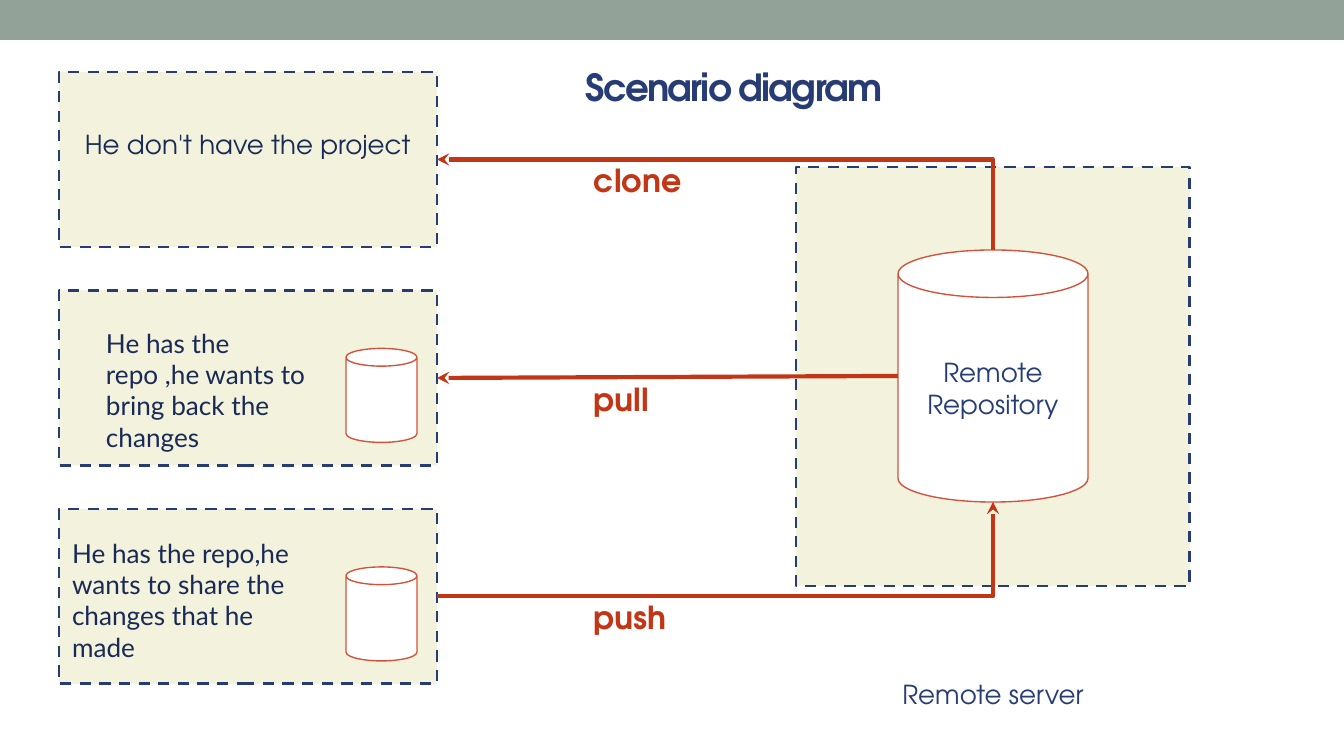
"""Build the scenario diagram slide: clone, pull and push against a remote repository."""
from lxml import etree
from pptx import Presentation
from pptx.dml.color import RGBColor
from pptx.enum.dml import MSO_LINE
from pptx.enum.shapes import MSO_CONNECTOR, MSO_SHAPE
from pptx.enum.text import MSO_ANCHOR, PP_ALIGN
from pptx.oxml.ns import qn
from pptx.util import Emu, Pt

RECT, CAN = MSO_SHAPE.RECTANGLE, MSO_SHAPE.CAN
STRAIGHT, ELBOW = MSO_CONNECTOR.STRAIGHT, MSO_CONNECTOR.ELBOW
LEFT, CENTER = PP_ALIGN.LEFT, PP_ALIGN.CENTER
TOP, MIDDLE = MSO_ANCHOR.TOP, MSO_ANCHOR.MIDDLE
DASH = MSO_LINE.DASH

EMU_PER_PX = 914400 / 134.4
HEADING_FONT, NOTE_FONT = "TeX Gyre Adventor", "Lato"
COLORS = {"bar": "93A299", "panel": "F3F2DC", "navy": "273C75", "ink": "192A56",
          "red": "C23616", "can": "D2533C", "white": "FFFFFF"}

SLIDE_SIZE = (1344, 756)
BAR = (0, 0, 1344, 40)
SERVER = (796, 167, 394, 419)
REPOSITORY = (898, 250, 190, 252)
TITLE = ("Scenario diagram", (534, 51, 400, 62))
SERVER_LABEL = ("Remote server", (882, 665, 222, 52))
REPOSITORY_LABEL = "Remote Repository"
EMPTY_CLIENT = "He don't have the project"
COMMANDS = ["clone", "pull", "push"]
NOTES = [
    (1, "He has the repo ,he wants to bring back the changes", (93, 314, 231, 94)),
    (2, "He has the repo,he wants to share the changes that he made", (59, 524, 264, 128)),
]
CLIENT_LEFT, CLIENT_TOP, CLIENT_WIDTH, CLIENT_HEIGHT = 59, 72, 378, 175
CLIENT_PITCH = 218.5
INSET = 13


def px(value):
    return Emu(round(value * EMU_PER_PX))


def color(name):
    return RGBColor.from_string(COLORS[name])


def write(shape, text, size, ink, font=HEADING_FONT, bold=False, align=LEFT,
          anchor=TOP, bottom=INSET):
    frame = shape.text_frame
    frame.word_wrap = True
    frame.vertical_anchor = anchor
    frame.margin_left = frame.margin_right = frame.margin_top = px(INSET)
    frame.margin_bottom = px(bottom)
    paragraph = frame.paragraphs[0]
    paragraph.text = text
    paragraph.alignment = align
    paragraph.font.name = font
    paragraph.font.size = Pt(size)
    paragraph.font.bold = bold
    paragraph.font.color.rgb = color(ink)
    return paragraph


def add_text(page, text, place, size, ink, **style):
    box = page.shapes.add_textbox(*map(px, place))
    return write(box, text, size, ink, **style)


def add_block(page, kind, place, fill, line=None, width=0.75, dash=None):
    shape = page.shapes.add_shape(kind, *map(px, place))
    shape.shadow.inherit = False
    shape.fill.solid()
    shape.fill.fore_color.rgb = color(fill)
    if line:
        shape.line.color.rgb = color(line)
        shape.line.width = Pt(width)
        shape.line.dash_style = dash
    else:
        shape.line.fill.background()
    return shape


def add_panel(page, place):
    return add_block(page, RECT, place, "panel", "navy", 1.5, DASH)


def add_can(page, place):
    return add_block(page, CAN, place, "white", "can")


def add_arrow(page, kind, start, end, arrow_end):
    arrow = page.shapes.add_connector(kind, *map(px, start + end))
    arrow.line.color.rgb = color("red")
    arrow.line.width = Pt(2.25)
    properties = arrow._element.spPr
    if kind == ELBOW:
        properties.find(qn("a:prstGeom")).set("prst", "bentConnector2")
    etree.SubElement(properties.find(qn("a:ln")), qn("a:" + arrow_end), type="stealth")
    etree.SubElement(properties, qn("a:effectLst"))
    return arrow


def main():
    deck = Presentation()
    deck.slide_width, deck.slide_height = map(px, SLIDE_SIZE)
    page = deck.slides.add_slide(deck.slide_layouts[6])

    add_block(page, RECT, BAR, "bar")
    add_panel(page, SERVER)
    repository = add_can(page, REPOSITORY)
    write(repository, REPOSITORY_LABEL, 14, "navy", align=CENTER, anchor=MIDDLE)
    add_text(page, *SERVER_LABEL, 14, "navy", align=CENTER)
    title = add_text(page, *TITLE, 20, "navy", bold=True, align=CENTER)
    title.runs[0].font._element.set("spc", "-100")

    tops = [CLIENT_TOP + row * CLIENT_PITCH for row in range(len(COMMANDS))]
    clients = []
    for command, top in zip(COMMANDS, tops):
        clients.append(add_panel(page, (CLIENT_LEFT, top, CLIENT_WIDTH, CLIENT_HEIGHT)))
        add_text(page, command, (581, top + 76, 171, 58), 17, "red", bold=True)
    write(clients[0], EMPTY_CLIENT, 14, "ink", align=CENTER, anchor=MIDDLE, bottom=INSET + 31)
    for row, text, place in NOTES:
        add_can(page, (346, tops[row] + 58, 71, 94))
        add_text(page, text, place, 14, "ink", font=NOTE_FONT)

    left, top, width, height = REPOSITORY
    clone, pull, push = [(CLIENT_LEFT + CLIENT_WIDTH, y + CLIENT_HEIGHT / 2) for y in tops]
    add_arrow(page, ELBOW, clone, (left + width / 2, top), "headEnd")
    pull_arrow = add_arrow(page, STRAIGHT, (left, top + height / 2), pull, "tailEnd")
    pull_arrow.end_connect(clients[1], 3)
    add_arrow(page, ELBOW, push, (left + width / 2, top + height), "tailEnd")

    deck.save("out.pptx")


if __name__ == "__main__":
    main()
